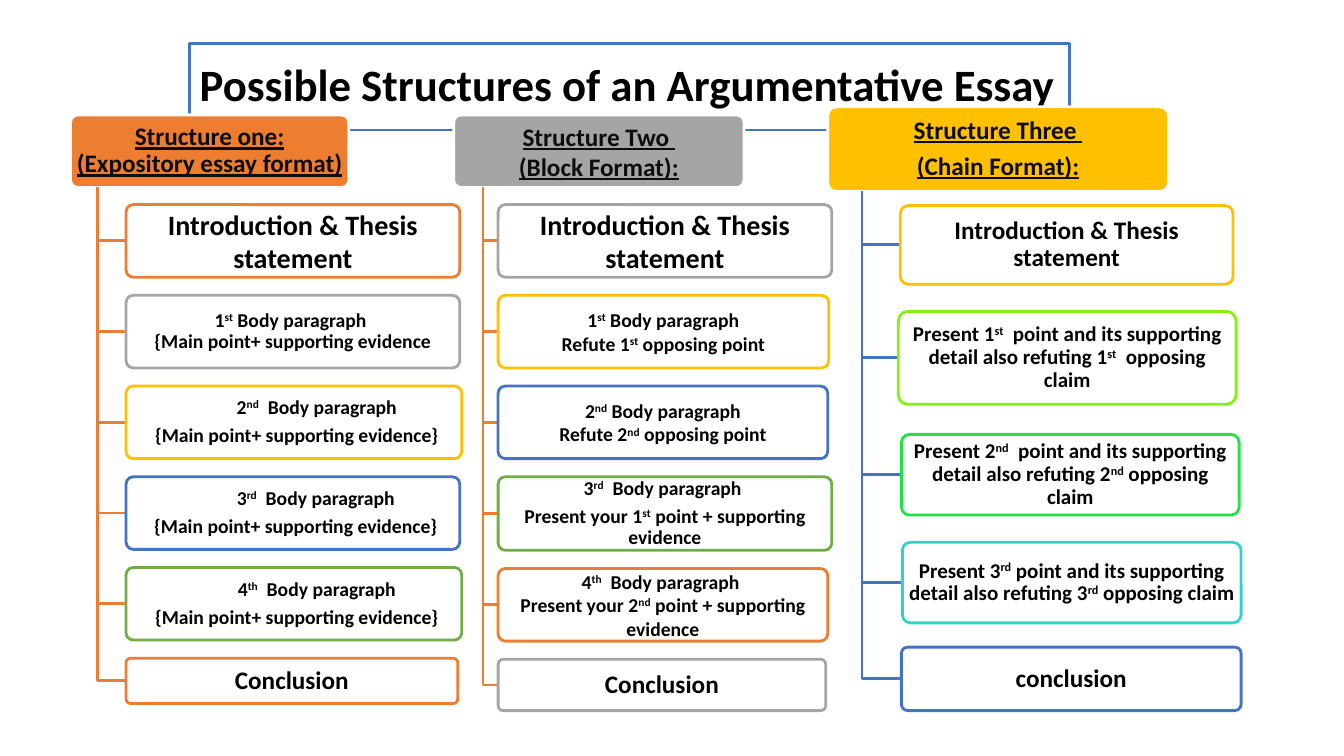
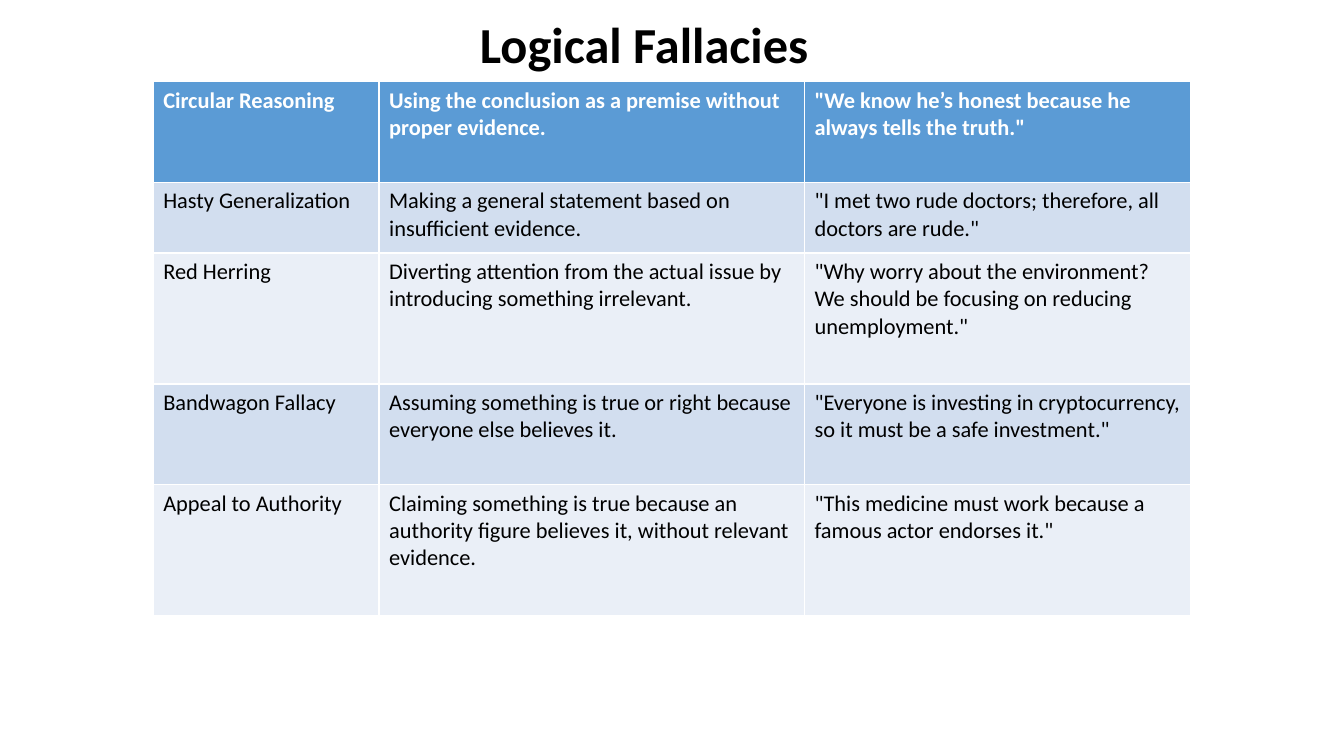
import collections

import pptx
import pptx.dml.color
import pptx.enum.shapes
import pptx.enum.text
import pptx.util

Inches, Pt = pptx.util.Inches, pptx.util.Pt
RGB = pptx.dml.color.RGBColor.from_string
ALIGN = pptx.enum.text.PP_ALIGN
MIDDLE = pptx.enum.text.MSO_ANCHOR.MIDDLE
ROUNDED = pptx.enum.shapes.MSO_SHAPE.ROUNDED_RECTANGLE

FONT = "Calibri"
COLORS = {
    "white": "FFFFFF", "black": "000000", "ink": "0D0D0D",
    "orange": "ED7D31", "gray": "A5A5A5", "gold": "FFC000",
    "blue": "4472C4", "green": "70AD47", "lime": "86F011",
    "emerald": "23E148", "teal": "33D2C5",
    "head": "5B9BD5", "band": "D2DEEF", "pale": "EAEFF7",
}

# after is a share of the text size; dx shifts a box from its column's left edge
Box = collections.namedtuple(
    "Box", "width height line size paras spacing after indents dx",
    defaults=(0.9, 0.35, (0, 0), 0))
Column = collections.namedtuple(
    "Column", "header fill titles spacing after trunk line left top gaps boxes")

INTRO = ["Introduction & Thesis statement"]
MAIN_POINT = "{Main point+ supporting evidence"


def add_title(s, text, size, left, top, width, height):
    sp = s.shapes.title
    sp.left, sp.top, sp.width, sp.height = map(Inches, (left, top, width, height))
    tf = sp.text_frame
    tf.text = text
    tf.auto_size = pptx.enum.text.MSO_AUTO_SIZE.NONE
    tf.vertical_anchor = MIDDLE
    p = tf.paragraphs[0]
    p.alignment, p.line_spacing = ALIGN.LEFT, 0.9
    p.font.name, p.font.size, p.font.bold = FONT, Pt(size), True
    p.font.color.rgb = RGB(COLORS["black"])
    return sp


def add_box(s, frame, fill, line, box, color="black", underline=False):
    """Add a rounded box; text between ^ marks is superscript."""
    sp = s.shapes.add_shape(ROUNDED, *map(Inches, frame))
    sp.adjustments[0] = 0.1
    sp.shadow.inherit = False
    sp.fill.solid()
    sp.fill.fore_color.rgb = RGB(COLORS[fill])
    sp.line.color.rgb, sp.line.width = RGB(COLORS[line]), Pt(2)
    tf = sp.text_frame
    tf.word_wrap, tf.vertical_anchor = True, MIDDLE
    tf.margin_left = tf.margin_right = Inches(0.03)
    tf.margin_top = tf.margin_bottom = Inches(0.02)
    for i, text in enumerate(box.paras):
        p = tf.paragraphs[0] if i == 0 else tf.add_paragraph()
        p.alignment, p.line_spacing = ALIGN.CENTER, box.spacing
        p.space_after = Pt(box.after * box.size)
        if box.indents[i]:
            p._p.get_or_add_pPr().set("marL", str(Inches(box.indents[i])))
        p.font.name, p.font.size, p.font.bold = FONT, Pt(box.size), True
        p.font.underline = underline
        p.font.color.rgb = RGB(COLORS[color])
        for j, part in enumerate(text.split("^")):
            r = p.add_run()
            r.text = part
            if j % 2:
                r._r.get_or_add_rPr().set("baseline", "30000")


prs = pptx.Presentation()
prs.slide_width, prs.slide_height = Inches(13.33), Inches(7.5)
title_only = prs.slide_layouts[5]

# Essay structures
s = prs.slides.add_slide(title_only)
sp = add_title(s, "Possible Structures of an Argumentative Essay", 32, 1.88, 0.43, 8.73, 0.86)
sp.fill.solid()
sp.fill.fore_color.rgb = RGB(COLORS["white"])
sp.line.color.rgb, sp.line.width = RGB(COLORS["blue"]), Pt(2)

expository = [
    Box(3.31, 0.72, "orange", 20, INTRO, 1.0, 0),
    Box(3.31, 0.72, "gray", 14, ["1^st^ Body paragraph ", MAIN_POINT], after=0),
    *[Box(width, 0.72, line, 14, [f"{nth}  Body paragraph ", MAIN_POINT + "}"],
          indents=(0.5, 0.06))
      for nth, line, width in [("2^nd^", "gold", 3.33), ("3^rd^", "blue", 3.31),
                               ("4^th^", "green", 3.33)]],
    Box(3.29, 0.45, "orange", 18, ["Conclusion"]),
]
block = [
    Box(3.31, 0.72, "gray", 20, INTRO, 1.0, 0),
    *[Box(width, 0.72, line, 14,
          [f"{nth} Body paragraph", f"Refute {nth} opposing point"], 1.0, 0)
      for nth, line, width in [("1^st^", "gold", 3.28), ("2^nd^", "blue", 3.27)]],
    *[Box(width, height, line, 14,
          [f"{nth}  Body paragraph ", f"Present your {point} point + supporting evidence"],
          spacing, after)
      for nth, point, line, width, height, spacing, after in [
          ("3^rd^", "1^st^", "green", 3.31, 0.73, 0.9, 0.35),
          ("4^th^", "2^nd^", "orange", 3.27, 0.72, 1.0, 0)]],
    Box(3.25, 0.51, "gray", 18, ["Conclusion"]),
]
chain = [
    Box(3.3, 0.78, "gold", 18, INTRO),
    *[Box(width, height, line, 15,
          [f"Present {nth}{a}point and its supporting detail also refuting {nth}{b}opposing claim"],
          dx=dx)
      for nth, a, b, line, width, height, dx in [
          ("1^st^", "  ", "  ", "lime", 3.35, 0.92, -0.02),
          ("2^nd^", "  ", " ", "emerald", 3.35, 0.8, 0.01),
          ("3^rd^", " ", " ", "teal", 3.36, 0.8, 0.02)]],
    Box(3.37, 0.63, "blue", 18, ["conclusion"], dx=0.01),
]
columns = [
    Column((0.7, 1.14, 2.76, 0.72), "orange",
           ["Structure one:", "(Expository essay format)"], 0.9, 0,
           0.97, "orange", 1.25, 2.03, [0.18] * 5, expository),
    Column((4.5, 1.14, 2.88, 0.72), "gray",
           ["Structure Two ", "(Block Format):"], 1.0, 0,
           4.79, "orange", 4.94, 2.03, [0.18] * 5, block),
    Column((8.21, 1.06, 3.38, 0.84), "gold",
           ["Structure Three ", "(Chain Format):"], 0.9, 0.35,
           8.55, "blue", 8.93, 2.04, [0.27, 0.3, 0.27, 0.24], chain),
]
for col in columns:
    header = Box(0, 0, "white", 18, col.titles, col.spacing, col.after)
    add_box(s, col.header, col.fill, "white", header, "ink", True)
    trunk, start = Inches(col.trunk), Inches(col.header[1] + col.header[3])
    top = col.top
    for box, gap in zip(col.boxes, col.gaps + [0]):
        left = col.left + box.dx
        middle = Inches(top + box.height / 2)
        outline = s.shapes.build_freeform(trunk, start, scale=1.0)
        outline.add_line_segments([(trunk, middle), (Inches(left), middle)], close=False)
        branch = outline.convert_to_shape()
        branch.shadow.inherit = False
        branch.fill.background()
        branch.line.color.rgb, branch.line.width = RGB(COLORS[col.line]), Pt(2)
        add_box(s, (left, top, box.width, box.height), "white", box.line, box)
        top += box.height + gap

# Fallacies
s = prs.slides.add_slide(title_only)
add_title(s, "Logical Fallacies", 36, 4.66, 0.11, 4.36, 0.71)
fallacies = [
    ("Circular Reasoning",
     "Using the conclusion as a premise without proper evidence.",
     '"We know he’s honest because he always tells the truth."'),
    ("Hasty Generalization",
     "Making a general statement based on insufficient evidence.",
     '"I met two rude doctors; therefore, all doctors are rude."'),
    ("Red Herring",
     "Diverting attention from the actual issue by introducing something irrelevant.",
     '"Why worry about the environment? We should be focusing on reducing unemployment."'),
    ("Bandwagon Fallacy",
     "Assuming something is true or right because everyone else believes it.",
     '"Everyone is investing in cryptocurrency, so it must be a safe investment."'),
    ("Appeal to Authority",
     "Claiming something is true because an authority figure believes it, without relevant evidence.",
     '"This medicine must work because a famous actor endorses it."'),
]
widths, heights = [2.24, 4.22, 3.83], [1, 0.7, 1.3, 1, 1.3]
table = s.shapes.add_table(len(heights), len(widths), Inches(1.52), Inches(0.81),
                           Inches(sum(widths)), Inches(sum(heights))).table
for column, width in zip(table.columns, widths):
    column.width = Inches(width)
for i, (row, height) in enumerate(zip(table.rows, heights)):
    row.height = Inches(height)
    fill = "head" if i == 0 else "band" if i % 2 else "pale"
    for cell, text in zip(row.cells, fallacies[i]):
        cell.fill.solid()
        cell.fill.fore_color.rgb = RGB(COLORS[fill])
        cell.text = text
        p = cell.text_frame.paragraphs[0]
        p.font.name, p.font.size, p.font.bold = FONT, Pt(16), i == 0
        p.font.color.rgb = RGB(COLORS["black" if i else "white"])

prs.save("out.pptx")
